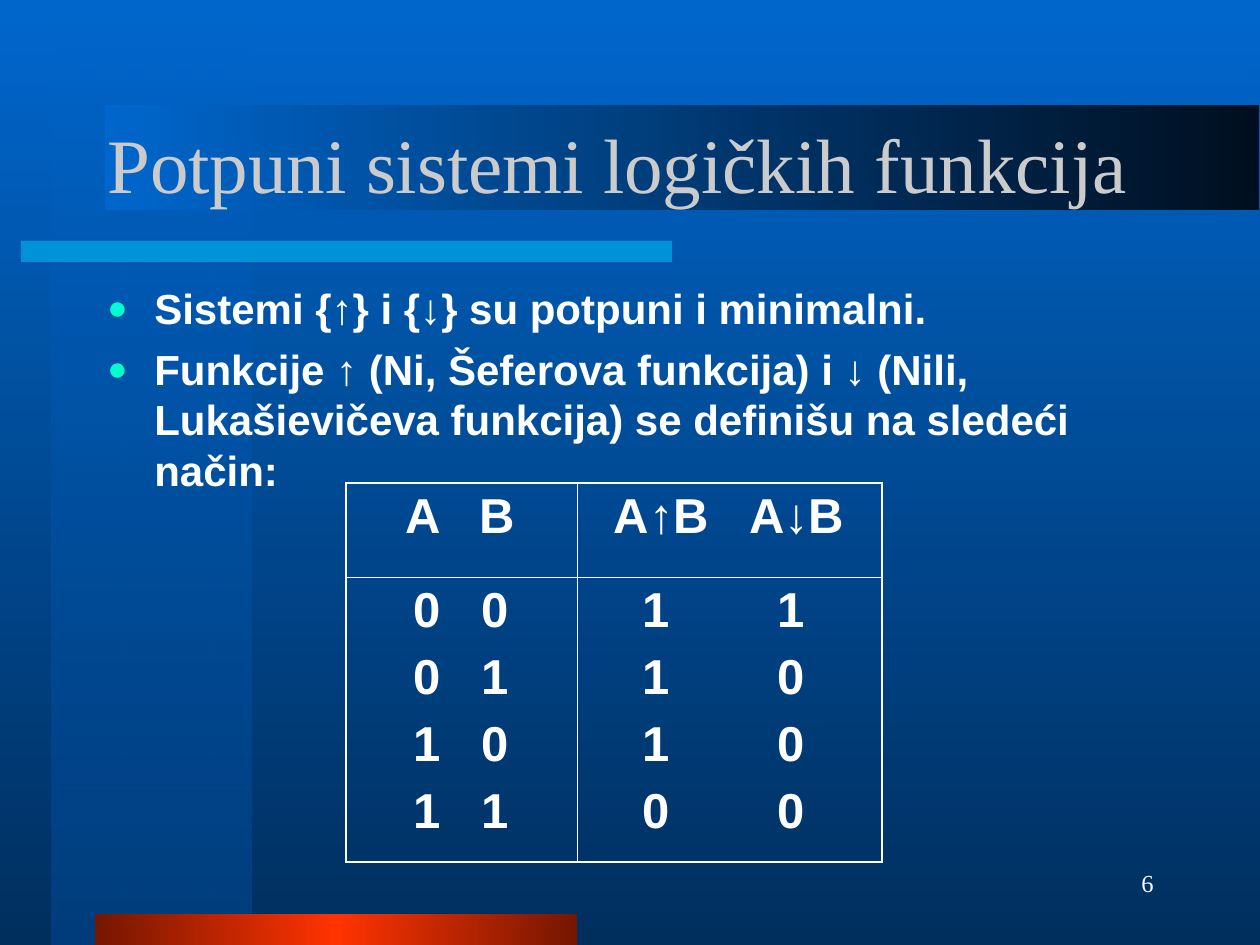
from dataclasses import dataclass
from pptx import Presentation
from pptx.dml.color import RGBColor
from pptx.enum.shapes import MSO_SHAPE
from pptx.enum.text import MSO_ANCHOR, PP_ALIGN
from pptx.oxml.ns import qn
from pptx.util import Emu, Pt
from lxml.etree import SubElement, Element

PIXELS_PER_INCH = 126


@dataclass(frozen=True)
class Theme:
    sky: str = "0066CC"
    deep: str = "002F5E"
    panel: str = "003E7D"
    night: str = "000F1F"
    accent: str = "00CCFF"
    red: str = "FF3300"
    dark_red: str = "751700"
    bullet: str = "00FFCC"
    title: str = "CBCBCB"
    white: str = "FFFFFF"
    serif: str = "Times New Roman"
    sans: str = "Arial"
    title_size: int = 44
    body_size: int = 24
    table_size: int = 28
    number_size: int = 14
    outer_line: float = 1.08
    inner_line: float = 0.45


THEME = Theme()


def px(value):
    return Emu(round(value * 914400 / PIXELS_PER_INCH))


def add_color(parent, color, opacity=100):
    node = SubElement(parent, qn("a:srgbClr"), val=color)
    if opacity < 100:
        SubElement(node, qn("a:alpha"), val=str(opacity * 1000))


def paint_gradient(fill, element, stops, angle):
    fill.gradient()
    gradient = next(element.iter(qn("a:gradFill")))
    for child in list(gradient):
        gradient.remove(child)
    stop_list = SubElement(gradient, qn("a:gsLst"))
    for position, color, opacity in stops:
        stop = SubElement(stop_list, qn("a:gs"), pos=str(position * 1000))
        add_color(stop, color, opacity)
    SubElement(gradient, qn("a:lin"), ang=str(angle * 60000), scaled="0")


def add_bar(slide, left, top, width, height):
    shape = slide.shapes.add_shape(
        MSO_SHAPE.RECTANGLE, px(left), px(top), px(width), px(height))
    shape.shadow.inherit = False
    shape.line.fill.background()
    return shape


def add_gradient_bar(slide, box, stops, angle):
    shape = add_bar(slide, *box)
    paint_gradient(shape.fill, shape._element, stops, angle)


def add_translucent_bar(slide, box, color, opacity):
    shape = add_bar(slide, *box)
    shape.fill.solid()
    shape.fill.fore_color.rgb = RGBColor.from_string(color)
    node = next(shape._element.spPr.iter(qn("a:srgbClr")))
    SubElement(node, qn("a:alpha"), val=str(opacity * 1000))


def add_bullet(paragraph, indent):
    properties = paragraph._p.get_or_add_pPr()
    properties.set("marL", str(px(indent)))
    properties.set("indent", str(-px(indent)))
    add_color(SubElement(properties, qn("a:buClr")), THEME.bullet)
    SubElement(properties, qn("a:buSzPct"), val="80000")
    SubElement(properties, qn("a:buFont"), typeface=THEME.sans)
    SubElement(properties, qn("a:buChar"), char="●")


def add_center_tabs(paragraph, positions):
    tabs = SubElement(paragraph._p.get_or_add_pPr(), qn("a:tabLst"))
    for position in positions:
        SubElement(tabs, qn("a:tab"), pos=str(px(position)), algn="ctr")


def write_text(frame, lines, *, size, font, color, bold=False, space=0,
               align=PP_ALIGN.LEFT, bullet_indent=0, tabs=()):
    frame.word_wrap = True
    for index, line in enumerate(lines):
        paragraph = frame.add_paragraph() if index else frame.paragraphs[0]
        if bullet_indent:
            add_bullet(paragraph, bullet_indent)
        if tabs:
            add_center_tabs(paragraph, tabs)
        paragraph.alignment = align
        if index and space:
            paragraph.space_before = Pt(space)
        run = paragraph.add_run()
        run.text = line
        run.font.size = Pt(size)
        run.font.name = font
        run.font.bold = bold
        run.font.color.rgb = RGBColor.from_string(color)


def add_text(slide, box, lines, **text_format):
    shape = slide.shapes.add_textbox(*map(px, box))
    shape.text_frame.vertical_anchor = MSO_ANCHOR.MIDDLE
    write_text(shape.text_frame, lines, **text_format)


def set_borders(cell, row, column):
    properties = cell._tc.get_or_add_tcPr()
    outer_sides = {"lnL": column == 0, "lnR": column == 1,
                   "lnT": row == 0, "lnB": row == 1}
    for index, (side, outer) in enumerate(outer_sides.items()):
        width = THEME.outer_line if outer else THEME.inner_line
        line = Element(qn(f"a:{side}"), w=str(Pt(width)))
        add_color(SubElement(line, qn("a:solidFill")), THEME.white)
        properties.insert(index, line)


def add_truth_table(slide, left, top, widths, heights, cells):
    frame = slide.shapes.add_table(
        len(heights), len(widths), px(left), px(top),
        px(sum(widths)), px(sum(heights)))
    table = frame.table
    table.first_row = False
    table.horz_banding = False
    for column, width in zip(table.columns, widths):
        column.width = px(width)
    for row, height in zip(table.rows, heights):
        row.height = px(height)
    for row, row_cells in enumerate(cells):
        for column, (pairs, tabs) in enumerate(row_cells):
            cell = table.cell(row, column)
            cell.fill.background()
            set_borders(cell, row, column)
            lines = [f"\t{first}\t{second}" for first, second in pairs]
            write_text(cell.text_frame, lines, size=THEME.table_size,
                       font=THEME.sans, color=THEME.white, bold=True,
                       space=7, tabs=tabs)


def add_decoration(slide):
    paint_gradient(slide.background.fill, slide._element,
                   [(0, THEME.sky, 100), (100, THEME.deep, 100)], 90)
    add_gradient_bar(slide, (52, 0, 200, 945),
                     [(0, THEME.sky, 50), (100, THEME.panel, 100)], 90)
    add_translucent_bar(slide, (21, 241, 651, 21), THEME.accent, 50)
    add_gradient_bar(slide, (95, 914, 482, 31),
                     [(0, THEME.dark_red, 100), (50, THEME.red, 100),
                      (100, THEME.dark_red, 100)], 180)
    add_gradient_bar(slide, (105, 105, 1154, 105),
                     [(0, THEME.night, 100), (100, THEME.sky, 100)], 180)


def main():
    presentation = Presentation()
    presentation.slide_width = px(1260)
    presentation.slide_height = px(945)
    slide = presentation.slides.add_slide(presentation.slide_layouts[6])
    add_decoration(slide)
    add_text(slide, (95, 84, 1071, 158), ["Potpuni sistemi logičkih funkcija"],
             size=THEME.title_size, font=THEME.serif, color=THEME.title)
    add_text(slide, (95, 273, 1081, 231),
             ["Sistemi {↑} i {↓} su potpuni i minimalni.",
              "Funkcije ↑ (Ni, Šeferova funkcija) i ↓ (Nili, Lukašievičeva "
              "funkcija) se definišu na sledeći način:"],
             size=THEME.body_size, font=THEME.sans, color=THEME.white,
             bold=True, space=6, bullet_indent=47)
    inputs = ["00", "01", "10", "11"]
    outputs = ["11", "10", "10", "00"]
    add_truth_table(slide, 346, 483, (231, 305), (94, 284), [
        [(["AB"], (65, 139)), ([("A↑B", "A↓B")], (72, 207))],
        [(inputs, (68, 136)), (outputs, (67, 202))],
    ])
    add_text(slide, (966, 851, 200, 63), ["6"], size=THEME.number_size,
             font=THEME.serif, color=THEME.white, align=PP_ALIGN.RIGHT)
    presentation.save("out.pptx")


if __name__ == "__main__":
    main()
